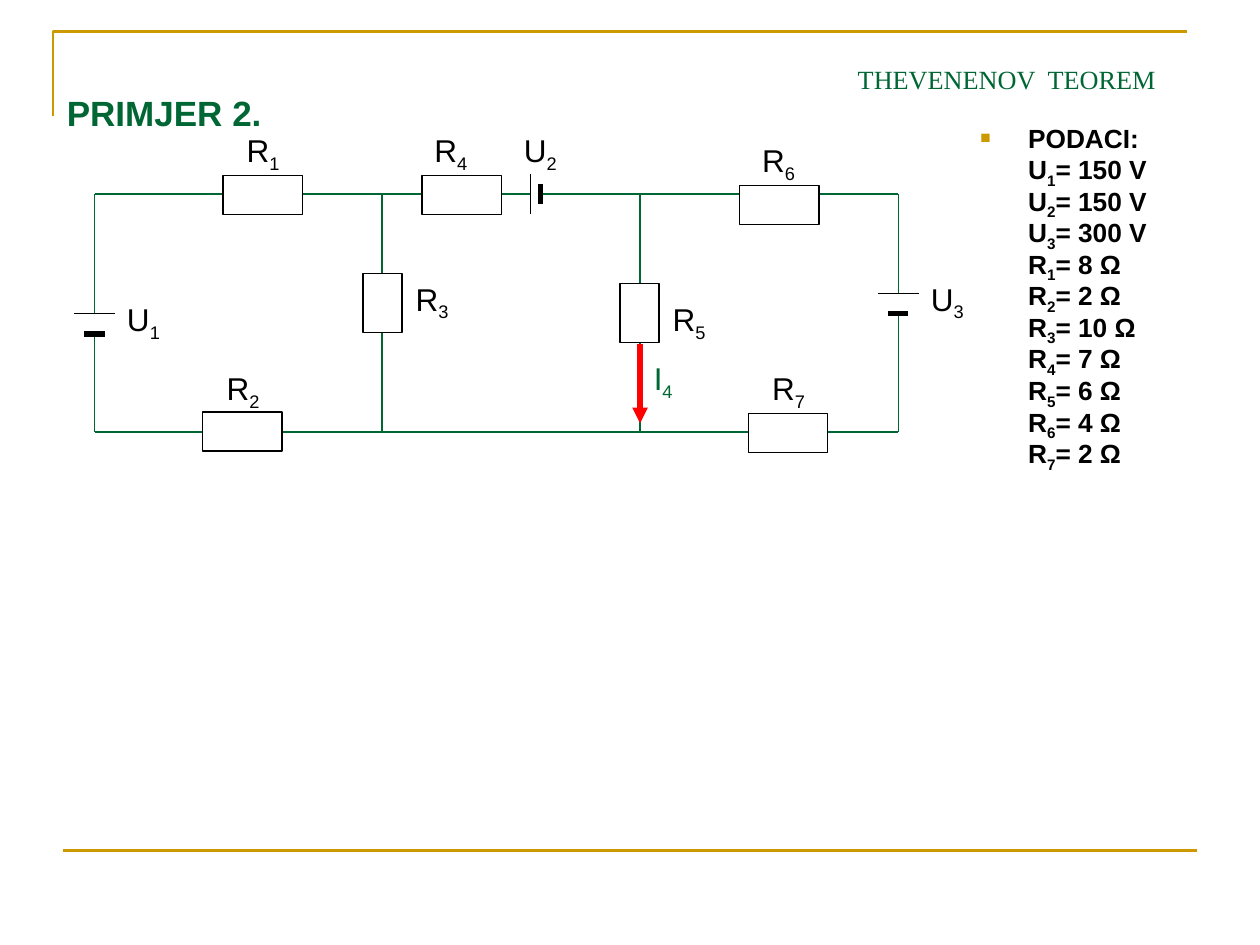
from lxml import etree
from pptx import Presentation
from pptx.dml.color import RGBColor
from pptx.enum.shapes import MSO_CONNECTOR, MSO_SHAPE
from pptx.enum.text import MSO_ANCHOR, MSO_AUTO_SIZE, PP_ALIGN
from pptx.oxml.ns import qn
from pptx.util import Inches, Pt

STRAIGHT = MSO_CONNECTOR.STRAIGHT
RECTANGLE = MSO_SHAPE.RECTANGLE
TOP, BOTTOM = MSO_ANCHOR.TOP, MSO_ANCHOR.BOTTOM
FIT_SHAPE, NO_FIT = MSO_AUTO_SIZE.SHAPE_TO_FIT_TEXT, MSO_AUTO_SIZE.NONE
LEFT, CENTER = PP_ALIGN.LEFT, PP_ALIGN.CENTER

GOLD = RGBColor(0xCC, 0x99, 0x00)
GREEN = RGBColor(0x00, 0x66, 0x33)
BLACK = RGBColor(0x00, 0x00, 0x00)
WHITE = RGBColor(0xFF, 0xFF, 0xFF)
RED = RGBColor(0xFF, 0x00, 0x00)

LEFT_X, R3_X, R5_X, RIGHT_X = 0.75, 3.03, 5.08, 7.13
TOP_Y, BOTTOM_Y = 1.54, 3.43

WIRES = [
    (LEFT_X, TOP_Y, LEFT_X, 2.49), (LEFT_X, 2.64, LEFT_X, BOTTOM_Y),
    (LEFT_X, TOP_Y, 4.21, TOP_Y), (4.29, TOP_Y, RIGHT_X, TOP_Y),
    (LEFT_X, BOTTOM_Y, RIGHT_X, BOTTOM_Y),
    (R3_X, TOP_Y, R3_X, BOTTOM_Y), (R5_X, TOP_Y, R5_X, BOTTOM_Y),
    (RIGHT_X, TOP_Y, RIGHT_X, 2.33), (RIGHT_X, 2.49, RIGHT_X, BOTTOM_Y),
]
LYING, STANDING = (0.63, 0.31), (0.31, 0.47)
RESISTORS = [
    (1.77, 1.39, LYING), (1.61, 3.27, LYING), (2.88, 2.17, STANDING),
    (3.35, 1.39, LYING), (4.92, 2.25, STANDING), (5.87, 1.47, LYING),
    (5.94, 3.28, LYING),
]
LABELS = [
    ("R1", 1.86, 0.99), ("R2", 1.7, 2.88), ("R3", 3.2, 2.17),
    ("R4", 3.35, 0.99), ("R5", 5.24, 2.33), ("R6", 5.95, 1.07),
    ("R7", 6.03, 2.88), ("U1", 0.91, 2.33), ("U2", 4.06, 0.99),
    ("U3", 7.29, 2.17),
]
DATA = [
    ("U1", "150 V"), ("U2", "150 V"), ("U3", "300 V"),
    ("R1", "8 Ω"), ("R2", "2 Ω"), ("R3", "10 Ω"), ("R4", "7 Ω"),
    ("R5", "6 Ω"), ("R6", "4 Ω"), ("R7", "2 Ω"),
]


def add_text(paragraph, text, size=18, color=BLACK, bold=False,
             font="Arial", subscript=False):
    run = paragraph.add_run()
    run.text = text
    run.font.size = Pt(size)
    run.font.name = font
    run.font.bold = bold
    run.font.color.rgb = color
    if subscript:
        run.font._element.set("baseline", "-25000")


def add_symbol(paragraph, symbol, **style):
    add_text(paragraph, symbol[0], **style)
    add_text(paragraph, symbol[1:], subscript=True, **style)


def set_bullet(paragraph, shown):
    properties = paragraph._p.get_or_add_pPr()
    properties.set("marL", str(Inches(0.38)))
    properties.set("indent", str(-Inches(0.38) if shown else 0))
    if not shown:
        etree.SubElement(properties, qn("a:buNone"))
        return
    bullet_color = etree.SubElement(properties, qn("a:buClr"))
    etree.SubElement(bullet_color, qn("a:srgbClr"), val=str(GOLD))
    etree.SubElement(properties, qn("a:buSzPct"), val="65000")
    etree.SubElement(properties, qn("a:buFont"), typeface="Arial")
    etree.SubElement(properties, qn("a:buChar"), char="■")


def place(shape, left, top, width, height):
    shape.left, shape.top = Inches(left), Inches(top)
    shape.width, shape.height = Inches(width), Inches(height)


class CircuitSlide:
    def __init__(self, slide):
        self.slide = slide
        self.shapes = slide.shapes

    def line(self, x1, y1, x2, y2, color=BLACK, width=0.75, arrow=False):
        connector = self.shapes.add_connector(
            STRAIGHT, Inches(x1), Inches(y1), Inches(x2), Inches(y2))
        connector.line.color.rgb = color
        connector.line.width = Pt(width)
        if arrow:
            etree.SubElement(connector.line._get_or_add_ln(),
                             qn("a:tailEnd"), type="triangle")
        etree.SubElement(connector._element.spPr, qn("a:effectLst"))

    def corner(self):
        builder = self.shapes.build_freeform(Inches(0.42), Inches(0.92))
        builder.add_line_segments(
            [(Inches(0.42), Inches(0.25)), (Inches(9.42), Inches(0.25))],
            close=False)
        frame = builder.convert_to_shape()
        frame.shadow.inherit = False
        frame.fill.background()
        frame.line.color.rgb = GOLD
        frame.line.width = Pt(1.5)

    def resistor(self, left, top, size):
        body = self.shapes.add_shape(
            RECTANGLE, Inches(left), Inches(top), *map(Inches, size))
        body.shadow.inherit = False
        body.fill.solid()
        body.fill.fore_color.rgb = WHITE
        body.line.color.rgb = BLACK
        body.line.width = Pt(0.75)

    def battery(self, x, y, upright=True):
        if upright:
            self.line(x - 0.16, y, x + 0.16, y)
            self.line(x - 0.08, y + 0.16, x + 0.08, y + 0.16, width=3)
        else:
            self.line(x, y - 0.16, x, y + 0.16)
            self.line(x + 0.08, y - 0.08, x + 0.08, y + 0.08, width=3)

    def label(self, symbol, left, top, width=0.46, color=BLACK):
        box = self.shapes.add_textbox(
            Inches(left), Inches(top), Inches(width), Inches(0.44))
        box.text_frame.word_wrap = False
        box.text_frame.auto_size = FIT_SHAPE
        add_symbol(box.text_frame.paragraphs[0], symbol, color=color)

    def running_head(self, text):
        box = self.shapes.add_textbox(
            Inches(5.39), Inches(0.28), Inches(5.2), Inches(0.52))
        box.text_frame.word_wrap = True
        box.text_frame.vertical_anchor = BOTTOM
        paragraph = box.text_frame.paragraphs[0]
        paragraph.alignment = CENTER
        add_text(paragraph, text, size=15, color=GREEN, font="Times New Roman")

    def title(self, text):
        heading = self.shapes.title
        place(heading, 0.43, 0.68, 1.77, 0.44)
        heading.text_frame.vertical_anchor = TOP
        heading.text_frame.auto_size = NO_FIT
        paragraph = heading.text_frame.paragraphs[0]
        paragraph.alignment = LEFT
        add_text(paragraph, text, size=20, color=GREEN, bold=True)

    def data_list(self, heading, values):
        body = self.slide.placeholders[1]
        place(body, 7.68, 0.99, 1.66, 2.99)
        frame = body.text_frame
        frame.auto_size = NO_FIT
        style = {"size": 15, "bold": True}
        first = frame.paragraphs[0]
        set_bullet(first, shown=True)
        first.line_spacing = 0.7
        first.space_before = Pt(0)
        add_text(first, heading, **style)
        for symbol, value in values:
            paragraph = frame.add_paragraph()
            set_bullet(paragraph, shown=False)
            paragraph.line_spacing = 0.7
            paragraph.space_before = Pt(3.7)
            add_symbol(paragraph, symbol, **style)
            add_text(paragraph, f"= {value}", **style)


def main():
    deck = Presentation()
    deck.slide_width, deck.slide_height = Inches(10), Inches(7.5)
    page = CircuitSlide(deck.slides.add_slide(deck.slide_layouts[1]))
    page.corner()
    page.line(0.5, 6.75, 9.5, 6.75, color=GOLD, width=1.5)
    page.running_head("THEVENENOV  TEOREM")
    page.title("PRIMJER 2.")
    page.data_list("PODACI:", DATA)
    for wire in WIRES:
        page.line(*wire, color=GREEN, width=1)
    for resistor in RESISTORS:
        page.resistor(*resistor)
    page.battery(LEFT_X, 2.49)
    page.battery(4.21, TOP_Y, upright=False)
    page.battery(RIGHT_X, 2.33)
    for label in LABELS:
        page.label(*label)
    page.line(R5_X, 2.73, R5_X, 3.36, color=RED, width=3, arrow=True)
    page.label("I4", 5.09, 2.8, width=0.35, color=GREEN)
    deck.save("out.pptx")


if __name__ == "__main__":
    main()
